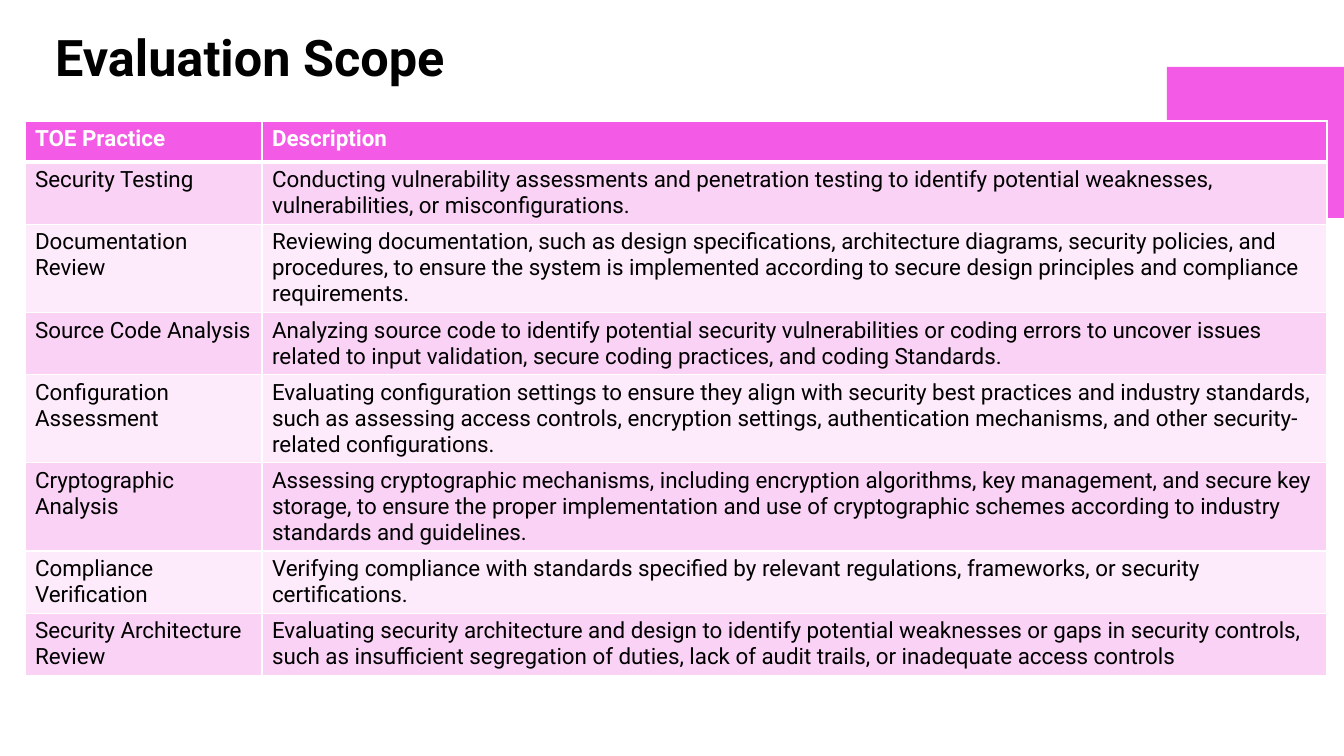
"""Build the Evaluation Scope slide with its table of practices."""
from dataclasses import dataclass

from lxml import etree
from pptx import Presentation
from pptx import util as u
from pptx.dml.color import RGBColor
from pptx.enum import shapes, text
from pptx.oxml import ns

TITLE = "Evaluation Scope"
HEADER = ("TOE Practice", "Description")
PRACTICES = [
    ("Security Testing",
     "Conducting vulnerability assessments and penetration testing to identify potential "
     "weaknesses, vulnerabilities, or misconfigurations."),
    ("Documentation Review",
     "Reviewing documentation, such as design specifications, architecture diagrams, security "
     "policies, and procedures, to ensure the system is implemented according to secure design "
     "principles and compliance requirements."),
    ("Source Code Analysis",
     "Analyzing source code to identify potential security vulnerabilities or coding errors to "
     "uncover issues related to input validation, secure coding practices, and coding Standards."),
    ("Configuration Assessment",
     "Evaluating configuration settings to ensure they align with security best practices and "
     "industry standards, such as assessing access controls, encryption settings, "
     "authentication mechanisms, and other security-related configurations."),
    ("Cryptographic Analysis",
     "Assessing cryptographic mechanisms, including encryption algorithms, key management, and "
     "secure key storage, to ensure the proper implementation and use of cryptographic schemes "
     "according to industry standards and guidelines."),
    ("Compliance Verification",
     "Verifying compliance with standards specified by relevant regulations, frameworks, or "
     "security certifications."),
    ("Security Architecture Review",
     "Evaluating security architecture and design to identify potential weaknesses or gaps in "
     "security controls, such as insufficient segregation of duties, lack of audit trails, or "
     "inadequate access controls"),
]

SLIDE_SIZE = (1344, 756)
TITLE_BOX = (45, 1, 1059, 119)
ACCENT_BOX = (1167, 67, 177, 151)
TABLE_BOX = (25, 121, 1302, 569)
COLUMN_WIDTHS = (237, 1065)
ROW_HEIGHT = 41


@dataclass(frozen=True)
class Theme:
    font: str = "Roboto"
    accent: str = "F35AE6"
    bands: tuple = ("FAD2F5", "FDEAFA")
    ink: str = "000000"
    paper: str = "FFFFFF"
    title_size: int = 36
    cell_size: int = 16
    rule: int = 1
    header_rule: int = 3


THEME = Theme()


def px(length):
    return u.Emu(round(length * 914400 / 100.8))


def style(para, size, color, bold):
    font = para.font
    font.name, font.size, font.bold = THEME.font, u.Pt(size), bold
    font.color.rgb = RGBColor.from_string(color)


def paint(target, color):
    target.fill.solid()
    target.fill.fore_color.rgb = RGBColor.from_string(color)


def add_borders(cell, top, bottom):
    properties = cell._tc.get_or_add_tcPr()
    widths = {"lnL": THEME.rule, "lnR": THEME.rule, "lnT": top, "lnB": bottom}
    for side, width in widths.items():
        line = etree.SubElement(properties, ns.qn(f"a:{side}"), w=str(u.Pt(width)))
        fill = etree.SubElement(line, ns.qn("a:solidFill"))
        etree.SubElement(fill, ns.qn("a:srgbClr"), val=THEME.paper)


def add_accent(page):
    block = page.shapes.add_shape(shapes.MSO_SHAPE.RECTANGLE, *map(px, ACCENT_BOX))
    block.shadow.inherit = False
    paint(block, THEME.accent)
    block.line.fill.background()


def add_title(page):
    title = page.shapes.title
    title.left, title.top, title.width, title.height = map(px, TITLE_BOX)
    title.text_frame.text = TITLE
    title.text_frame.vertical_anchor = text.MSO_ANCHOR.MIDDLE
    para = title.text_frame.paragraphs[0]
    para.alignment = text.PP_ALIGN.LEFT
    para.line_spacing = 0.9
    style(para, THEME.title_size, THEME.ink, True)


def add_practices(page):
    rows = [HEADER, *PRACTICES]
    frame = page.shapes.add_table(len(rows), len(HEADER), *map(px, TABLE_BOX))
    table = frame.table
    for column, width in zip(table.columns, COLUMN_WIDTHS):
        column.width = px(width)
    for index, row in enumerate(rows):
        table.rows[index].height = px(ROW_HEIGHT)
        header = index == 0
        fill = THEME.accent if header else THEME.bands[(index - 1) % 2]
        top = THEME.header_rule if index == 1 else THEME.rule
        bottom = THEME.header_rule if header else THEME.rule
        for cell, words in zip(table.rows[index].cells, row):
            cell.text = words
            style(cell.text_frame.paragraphs[0], THEME.cell_size,
                  THEME.paper if header else THEME.ink, header)
            add_borders(cell, top, bottom)
            paint(cell, fill)
    frame.height = px(TABLE_BOX[3])


def main():
    deck = Presentation()
    deck.slide_width, deck.slide_height = map(px, SLIDE_SIZE)
    page = deck.slides.add_slide(deck.slide_layouts.get_by_name("Title Only"))
    add_accent(page)
    add_title(page)
    add_practices(page)
    deck.save("out.pptx")


if __name__ == "__main__":
    main()
